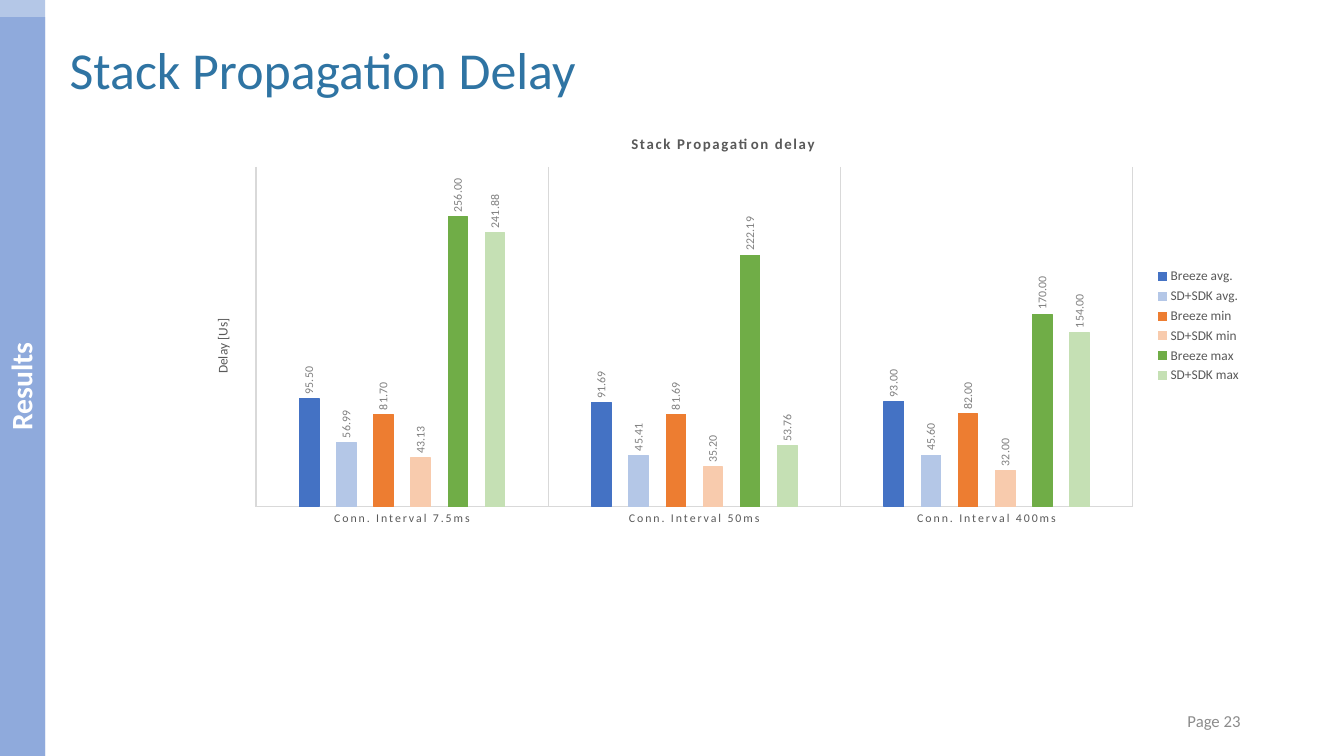
from typing import NamedTuple

from pptx import Presentation
from pptx.chart.data import CategoryChartData
from pptx.dml.color import RGBColor
from pptx.enum.chart import XL_CHART_TYPE, XL_LABEL_POSITION, XL_LEGEND_POSITION, XL_TICK_MARK
from pptx.enum.shapes import MSO_SHAPE
from pptx.enum.text import MSO_ANCHOR, PP_ALIGN
from pptx.oxml import parse_xml
from pptx.oxml.ns import nsdecls, qn
from pptx.util import Pt

EMU_PER_PIXEL = 8572.5
FONT = "Calibri"
COLORS = {
    "title": "2F74A3", "page": "8C8C8C", "white": "FFFFFF", "black": "000000",
    "band": "8FAADC", "band_top": "B4C7E7",
    "text": "595959", "label": "808080", "grid": "D9D9D9",
    "blue": "4472C4", "light_blue": "B4C7E7", "orange": "ED7D31",
    "light_orange": "F8CBAD", "green": "70AD47", "light_green": "C5E0B4",
}


class Box(NamedTuple):
    left: int
    top: int
    width: int
    height: int


class Band(NamedTuple):
    box: Box
    color: str
    text: str


class DelaySeries(NamedTuple):
    name: str
    color: str
    values: tuple[float, ...]


SLIDE_BOX = Box(0, 0, 1344, 756)
TITLE_BOX = Box(59, 32, 1285, 74)
PAGE_BOX = Box(948, 700, 303, 41)
CHART_BOX = Box(194, 118, 1058, 416)
PLOT_BOX = Box(256, 167, 877, 340)
BANDS = [
    Band(Box(0, 0, 45, 756), "band_top", ""),
    Band(Box(0, 17, 45, 739), "band", "Results"),
]
INTERVALS = ["7.5ms", "50ms", "400ms"]
DELAYS = [
    DelaySeries("Breeze avg.", "blue", (95.5, 91.69, 93)),
    DelaySeries("SD+SDK avg.", "light_blue", (56.99, 45.41, 45.6)),
    DelaySeries("Breeze min", "orange", (81.7, 81.69, 82)),
    DelaySeries("SD+SDK min", "light_orange", (43.13, 35.2, 32)),
    DelaySeries("Breeze max", "green", (256, 222.19, 170)),
    DelaySeries("SD+SDK max", "light_green", (241.88, 53.76, 154)),
]


def emu(pixels: int) -> int:
    return round(pixels * EMU_PER_PIXEL)


def color(name: str) -> RGBColor:
    return RGBColor.from_string(COLORS[name])


def set_all(target, values: dict) -> None:
    for name, value in values.items():
        setattr(target, name, value)


def place(shape, box: Box) -> None:
    set_all(shape, {name: emu(pixels) for name, pixels in box._asdict().items()})


def style_font(font, size: float, color_name: str, bold: bool = False) -> None:
    set_all(font, {"name": FONT, "size": Pt(size), "bold": bold})
    font.color.rgb = color(color_name)


def style_line(line, color_name: str) -> None:
    line.width = Pt(0.75)
    line.color.rgb = color(color_name)


def write(text_frame, text: str, size: float, color_name: str, alignment,
          bold: bool = False) -> None:
    set_all(text_frame, {"word_wrap": True, "vertical_anchor": MSO_ANCHOR.MIDDLE})
    paragraph = text_frame.paragraphs[0]
    paragraph.alignment = alignment
    run = paragraph.add_run()
    run.text = text
    style_font(run.font, size, color_name, bold)


def add_band(slide, band: Band) -> None:
    shape = slide.shapes.add_shape(MSO_SHAPE.RECTANGLE, *map(emu, band.box))
    shape.rotation = 180
    shape.shadow.inherit = False
    shape.fill.solid()
    shape.fill.fore_color.rgb = color(band.color)
    shape.line.fill.background()
    if band.text:
        write(shape.text_frame, band.text, 20, "white", PP_ALIGN.CENTER, True)
        shape.text_frame.paragraphs[0].line_spacing = 0.93
        shape.text_frame._txBody.bodyPr.set("vert", "vert")


def space_letters(element, spacing: int) -> None:
    for tag in ("a:defRPr", "a:rPr"):
        for properties in element.iter(qn(tag)):
            properties.set("spc", str(spacing))


def style_series(series, delay: DelaySeries) -> None:
    series.format.fill.solid()
    series.format.fill.fore_color.rgb = color(delay.color)
    style_line(series.format.line, delay.color)
    labels = series.data_labels
    set_all(labels, {"show_value": True, "position": XL_LABEL_POSITION.OUTSIDE_END,
                     "number_format": "0.00", "number_format_is_linked": False})
    style_font(labels.font, 8, "label")
    for body in labels._element.iter(qn("a:bodyPr")):
        body.set("rot", "-5400000")
        body.set("vert", "horz")


def fix_plot_area(chart) -> None:
    fractions = {
        "x": (PLOT_BOX.left - CHART_BOX.left) / CHART_BOX.width,
        "y": (PLOT_BOX.top - CHART_BOX.top) / CHART_BOX.height,
        "w": PLOT_BOX.width / CHART_BOX.width,
        "h": PLOT_BOX.height / CHART_BOX.height,
    }
    modes = '<c:layoutTarget val="inner"/><c:xMode val="edge"/><c:yMode val="edge"/>'
    sizes = "".join(f'<c:{key} val="{value:.4f}"/>' for key, value in fractions.items())
    plot_area = chart._chartSpace.chart.plotArea
    for layout in plot_area.findall(qn("c:layout")):
        plot_area.remove(layout)
    plot_area.insert(0, parse_xml(
        f'<c:layout {nsdecls("c")}><c:manualLayout>{modes}{sizes}</c:manualLayout></c:layout>'))


def add_delay_chart(slide) -> None:
    data = CategoryChartData(number_format="0.00")
    data.categories = [f"Conn. Interval {interval}" for interval in INTERVALS]
    for delay in DELAYS:
        data.add_series(delay.name, delay.values)
    chart = slide.shapes.add_chart(
        XL_CHART_TYPE.COLUMN_CLUSTERED, *map(emu, CHART_BOX), data).chart
    style_font(chart.font, 10, "black")

    # Chart title and legend
    chart.has_title = True
    write(chart.chart_title.text_frame, "Stack Propagation delay", 10, "text",
          PP_ALIGN.CENTER, True)
    space_letters(chart.chart_title._element, 120)
    chart.has_legend = True
    set_all(chart.legend, {"position": XL_LEGEND_POSITION.RIGHT, "include_in_layout": False})
    style_font(chart.legend.font, 9, "text")

    # Axes
    axis = chart.category_axis
    set_all(axis, {"major_tick_mark": XL_TICK_MARK.NONE, "has_major_gridlines": True})
    style_font(axis.tick_labels.font, 8, "text")
    space_letters(axis._element, 120)
    for line in (axis.format.line, axis.major_gridlines.format.line):
        style_line(line, "grid")
    delay_axis = chart.value_axis
    set_all(delay_axis, {"minimum_scale": 0, "maximum_scale": 300,
                         "has_major_gridlines": False, "has_title": True, "visible": False})
    title_frame = delay_axis.axis_title.text_frame
    write(title_frame, "Delay [Us]", 9, "text", PP_ALIGN.CENTER)
    title_frame._txBody.bodyPr.set("rot", "-5400000")

    # Columns
    plot = chart.plots[0]
    set_all(plot, {"gap_width": 444, "overlap": -90, "vary_by_categories": False})
    for series, delay in zip(plot.series, DELAYS):
        style_series(series, delay)
    fix_plot_area(chart)


presentation = Presentation()
set_all(presentation, {"slide_width": emu(SLIDE_BOX.width),
                       "slide_height": emu(SLIDE_BOX.height)})
slide = presentation.slides.add_slide(presentation.slide_layouts[5])

# Section bands
for band in BANDS:
    add_band(slide, band)

# Title and page number
title = slide.shapes.title
place(title, TITLE_BOX)
write(title.text_frame, "Stack Propagation Delay", 35, "title", PP_ALIGN.LEFT)
page = slide.shapes.add_textbox(*map(emu, PAGE_BOX))
write(page.text_frame, "Page 23", 11.3, "page", PP_ALIGN.RIGHT)

# Delay chart
add_delay_chart(slide)

presentation.save("out.pptx")
